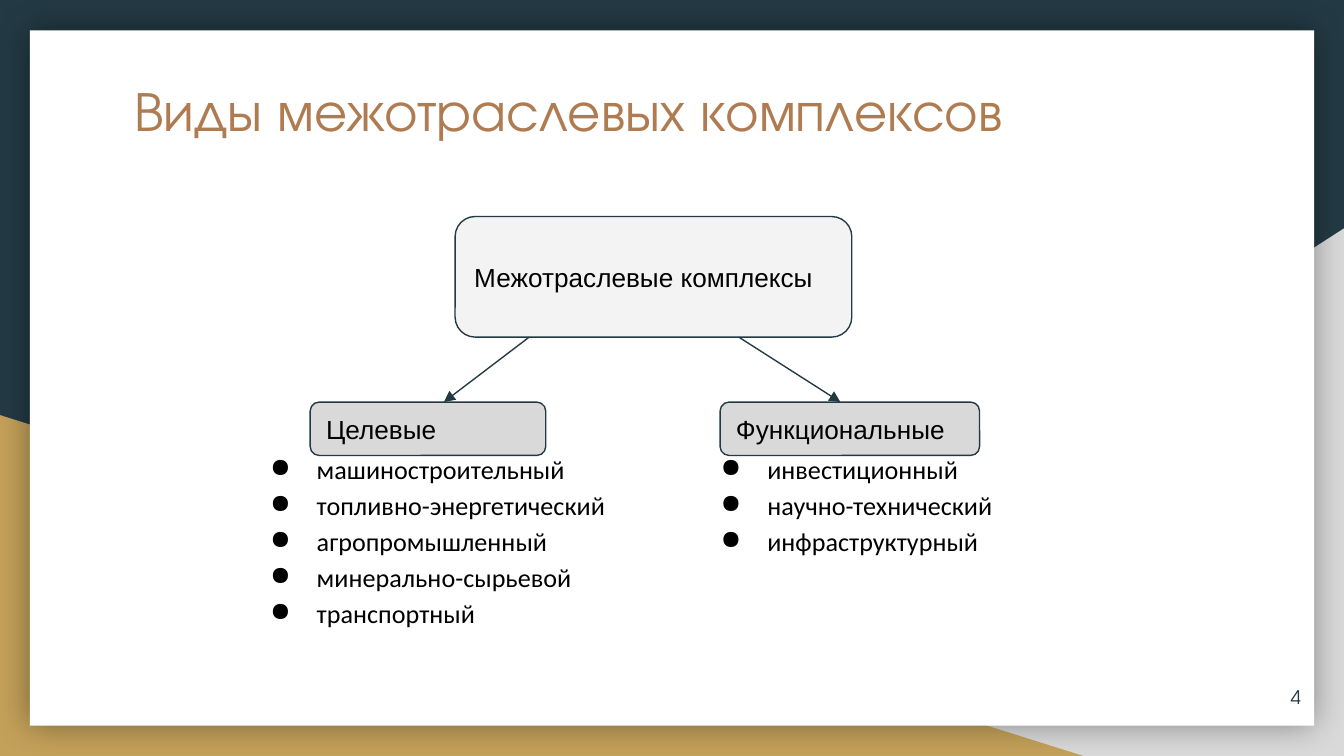
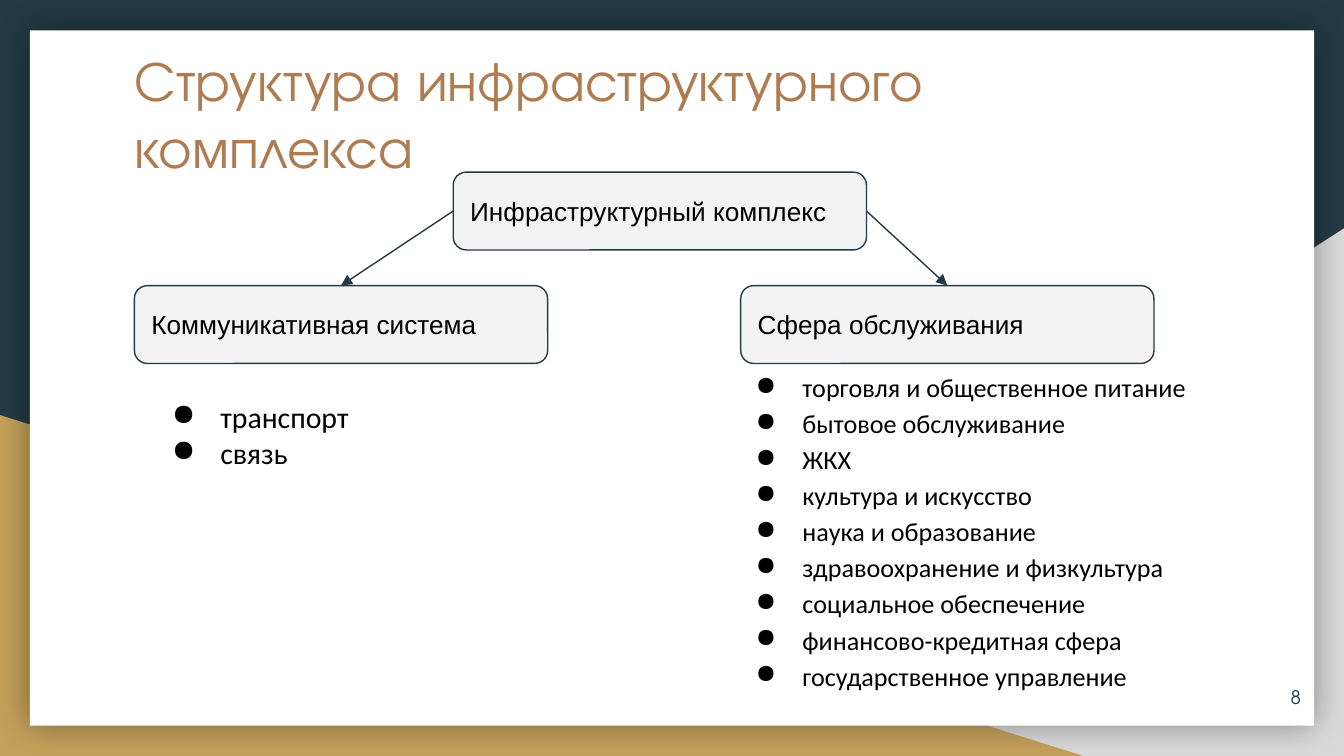
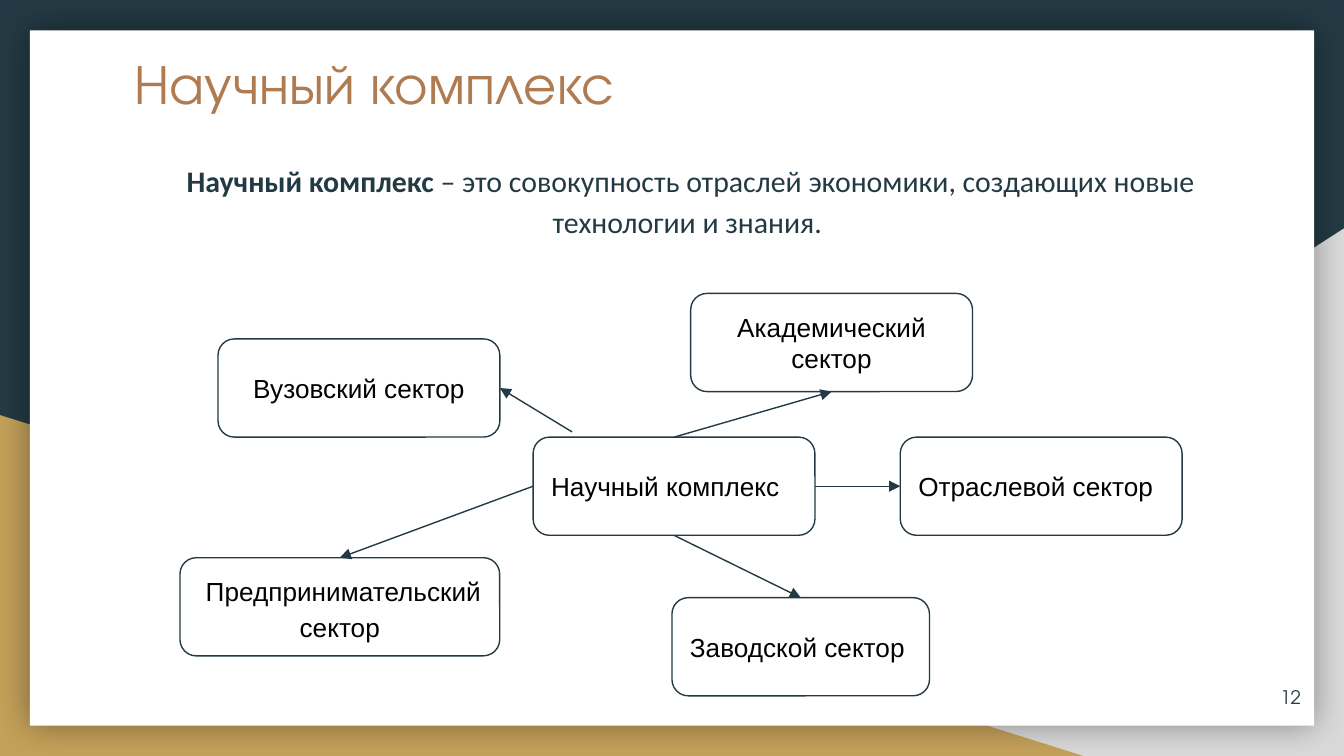
from lxml.etree import SubElement
from pptx import Presentation
from pptx.dml.color import RGBColor
from pptx.enum.shapes import MSO_CONNECTOR, MSO_SHAPE
from pptx.enum.text import MSO_ANCHOR, MSO_AUTO_SIZE, PP_ALIGN
from pptx.oxml.ns import qn
from pptx.util import Pt

rgb = RGBColor.from_string
NAVY, GOLD, GREY, PALE = "233A44", "C4A15A", "D9D9D9", "F3F3F3"
WHITE, BLACK, COPPER = "FFFFFF", "000000", "AF7B51"
DISPLAY, LABEL, BODY = "TeX Gyre Adventor", "Arial", "Calibri"
TOP, LEFT, BOTTOM, RIGHT = range(4)  # connection sites of a rounded box
CENTER = {"align": PP_ALIGN.CENTER}


def write(frame, *lines, font=LABEL, size=14, color=BLACK, align=PP_ALIGN.LEFT,
          anchor=MSO_ANCHOR.TOP, spacing=1.0, before=0, after=0, indent=0, lead=""):
    """Fill a frame with one paragraph per line; lead is a bold opening, indent adds bullets."""
    frame.word_wrap = True
    frame.auto_size = MSO_AUTO_SIZE.NONE
    frame.vertical_anchor = anchor
    frame.margin_left = frame.margin_right = Pt(7.2)
    frame.margin_top = frame.margin_bottom = Pt(7.2)
    for row, line in enumerate(lines):
        paragraph = frame.add_paragraph() if row else frame.paragraphs[0]
        paragraph.alignment = align
        paragraph.line_spacing = spacing
        paragraph.space_before = Pt(0 if row else before)
        paragraph.space_after = Pt(after)
        if indent:
            properties = paragraph.element.get_or_add_pPr() if hasattr(
                paragraph, "element") else paragraph._p.get_or_add_pPr()
            properties.set("marL", str(Pt(36)))
            properties.set("indent", str(-Pt(indent)))
            bullet_color = SubElement(properties, qn("a:buClr"))
            SubElement(bullet_color, qn("a:srgbClr"), val=color)
            SubElement(properties, qn("a:buChar"), char="●")
        for text, bold in ((lead, True), (line, False)):
            if text:
                run = paragraph.add_run()
                run.text = text
                run.font.name, run.font.size, run.font.bold = font, Pt(size), bold
                run.font.color.rgb = rgb(color)


# Boxes: text, left, top, width, height, fill, format.
# Arrow ends: (box text, connection site) or a point.
# Lists: left, top, width, height, format, items.
LIST = {"font": BODY, "spacing": 1.15, "before": 12, "indent": 25}
SPACED = {**CENTER, "spacing": 1.15, "before": 12, "after": 12}
HUB = "Научный комплекс"
CONTENT = [
    {"number": "4", "title": "Виды межотраслевых комплексов", "title_top": 33,
     "boxes": [("Межотраслевые комплексы", 243.8, 116, 212.5, 64.6, PALE, {}),
               ("Целевые", 166.2, 215.4, 126.2, 28.6, GREY, {}),
               ("Функциональные", 385.8, 215.4, 139, 28.6, GREY, {})],
     "arrows": [((283.5, 180.6), (237.8, 215.4)),
                ((395.8, 180.6), (450.2, 215.4))],
     "lists": [(126.6, 233.4, 212.4, 122.4, LIST,
                ["машиностроительный", "топливно-энергетический", "агропромышленный",
                 "минерально-сырьевой", "транспортный"]),
               (368, 233.4, 202.3, 122.4, LIST,
                ["инвестиционный", "научно-технический", "инфраструктурный"])]},
    {"number": "8", "title": "Структура инфраструктурного комплекса", "title_top": 17,
     "boxes": [("Инфраструктурный комплекс", 242.8, 92.2, 221.4, 41.7, PALE, {}),
               ("Коммуникативная система", 72, 153, 221.4, 41.7, PALE, {}),
               ("Сфера обслуживания", 396.8, 153, 221.4, 41.7, PALE, {})],
     "arrows": [(("Инфраструктурный комплекс", LEFT), ("Коммуникативная система", TOP)),
                (("Инфраструктурный комплекс", RIGHT), ("Сфера обслуживания", TOP))],
     "lists": [(75, 206.6, 199.4, 159, {"font": BODY, "size": 16, "indent": 26},
                ["транспорт", "связь"]),
               (386.8, 189.4, 276.5, 193.7, LIST,
                ["торговля и общественное питание", "бытовое обслуживание", "ЖКХ",
                 "культура и искусство", "наука и образование",
                 "здравоохранение и физкультура", "социальное обеспечение",
                 "финансово-кредитная сфера", "государственное управление"])]},
    {"number": "12", "title": HUB, "title_top": 18.7,
     "boxes": [(HUB, 285.6, 234.2, 151, 52.6, WHITE, {}),
               ("Вузовский сектор", 116.8, 181.6, 151, 52.6, WHITE, CENTER),
               ("Академический сектор", 370, 157.2, 151, 52.6, WHITE, CENTER),
               ("Отраслевой сектор", 482.3, 234.2, 151, 52.6, WHITE, {}),
               ("Заводской сектор", 360, 320.2, 138, 52.6, WHITE, {}),
               (" Предпринимательский сектор", 96.4, 298.8, 171.3, 52.6, WHITE, SPACED)],
     "arrows": [((306.5, 231.4), ("Вузовский сектор", RIGHT)),
                ((HUB, TOP), ("Академический сектор", BOTTOM)),
                ((HUB, RIGHT), ("Отраслевой сектор", LEFT)),
                ((HUB, BOTTOM), ("Заводской сектор", TOP)),
                ((HUB, LEFT), (" Предпринимательский сектор", TOP))],
     "lists": [(72.7, 77, 591, 75,
                {"font": BODY, "size": 16, "color": NAVY, "spacing": 1.15, "before": 12,
                 "lead": " Научный комплекс", **CENTER},
                [" – это совокупность отраслей экономики, создающих новые "
                 "технологии и знания."])]},
]

deck = Presentation()
deck.slide_width, deck.slide_height = Pt(720), Pt(405)
layout = deck.slide_layouts[5]
slides = [deck.slides.add_slide(layout) for _ in CONTENT]

# Shared backdrop: drawn once, then moved behind everything on the layout
layout.background.fill.solid()
layout.background.fill.fore_color.rgb = rgb(NAVY)
for placeholder in list(layout.placeholders)[1:]:
    placeholder.element.getparent().remove(placeholder.element)
backdrop = []
for preset, left, top, width, height, fill in (
        (MSO_SHAPE.RIGHT_TRIANGLE, 282, 122.4, 438, 282.6, GREY),
        (MSO_SHAPE.RIGHT_TRIANGLE, 0, 222.4, 580.4, 182.6, GOLD),
        (MSO_SHAPE.RECTANGLE, 16, 16.2, 688, 372.5, WHITE)):
    part = slides[0].shapes.add_shape(preset, Pt(left), Pt(top), Pt(width), Pt(height))
    part.shadow.inherit = False
    part.fill.solid()
    part.fill.fore_color.rgb = rgb(fill)
    part.line.fill.background()
    backdrop.append(part)
corner, _, page = backdrop
corner.element.spPr.find(qn("a:xfrm")).set("flipH", "1")
glow = SubElement(page.element.spPr.find(qn("a:effectLst")), qn("a:outerShdw"),
                  blurRad=str(Pt(18)), dist="0", dir="0", algn="ctr", rotWithShape="0")
glow_color = SubElement(glow, qn("a:srgbClr"), val=BLACK)
SubElement(glow_color, qn("a:alpha"), val="40000")
for depth, part in enumerate(backdrop, start=2):
    layout.shapes.element.insert(depth, part.element)

for slide, content in zip(slides, CONTENT):
    shapes = slide.shapes
    title = shapes.title
    title.left, title.top = Pt(64.8), Pt(content["title_top"])
    title.width, title.height = Pt(591), Pt(75)
    write(title.text_frame, content["title"], font=DISPLAY, size=30, color=COPPER)

    boxes = {}
    for text, left, top, width, height, fill, style in content["boxes"]:
        box = shapes.add_shape(MSO_SHAPE.ROUNDED_RECTANGLE,
                               Pt(left), Pt(top), Pt(width), Pt(height))
        box.shadow.inherit = False
        box.fill.solid()
        box.fill.fore_color.rgb = rgb(fill)
        box.line.color.rgb = rgb(NAVY)
        box.line.width = Pt(0.75)
        write(box.text_frame, text, anchor=MSO_ANCHOR.MIDDLE, **style)
        boxes[text] = box

    for start, end in content["arrows"]:
        arrow = shapes.add_connector(MSO_CONNECTOR.STRAIGHT, 0, 0, 0, 0)
        if start[0] in boxes:
            arrow.begin_connect(boxes[start[0]], start[1])
        else:
            arrow.begin_x, arrow.begin_y = Pt(start[0]), Pt(start[1])
        if end[0] in boxes:
            arrow.end_connect(boxes[end[0]], end[1])
        else:
            arrow.end_x, arrow.end_y = Pt(end[0]), Pt(end[1])
        arrow.line.color.rgb = rgb(NAVY)
        arrow.line.width = Pt(0.75)
        properties = arrow.element.spPr
        SubElement(properties.find(qn("a:ln")), qn("a:tailEnd"), type="triangle")
        SubElement(properties, qn("a:effectLst"))

    for left, top, width, height, style, items in content["lists"]:
        listing = shapes.add_textbox(Pt(left), Pt(top), Pt(width), Pt(height))
        write(listing.text_frame, *items, **style)

    number = shapes.add_textbox(Pt(661), Pt(357.8), Pt(43), Pt(31))
    write(number.text_frame, content["number"], font=DISPLAY, size=10, color=NAVY,
          align=PP_ALIGN.RIGHT, anchor=MSO_ANCHOR.MIDDLE)

deck.save("out.pptx")
